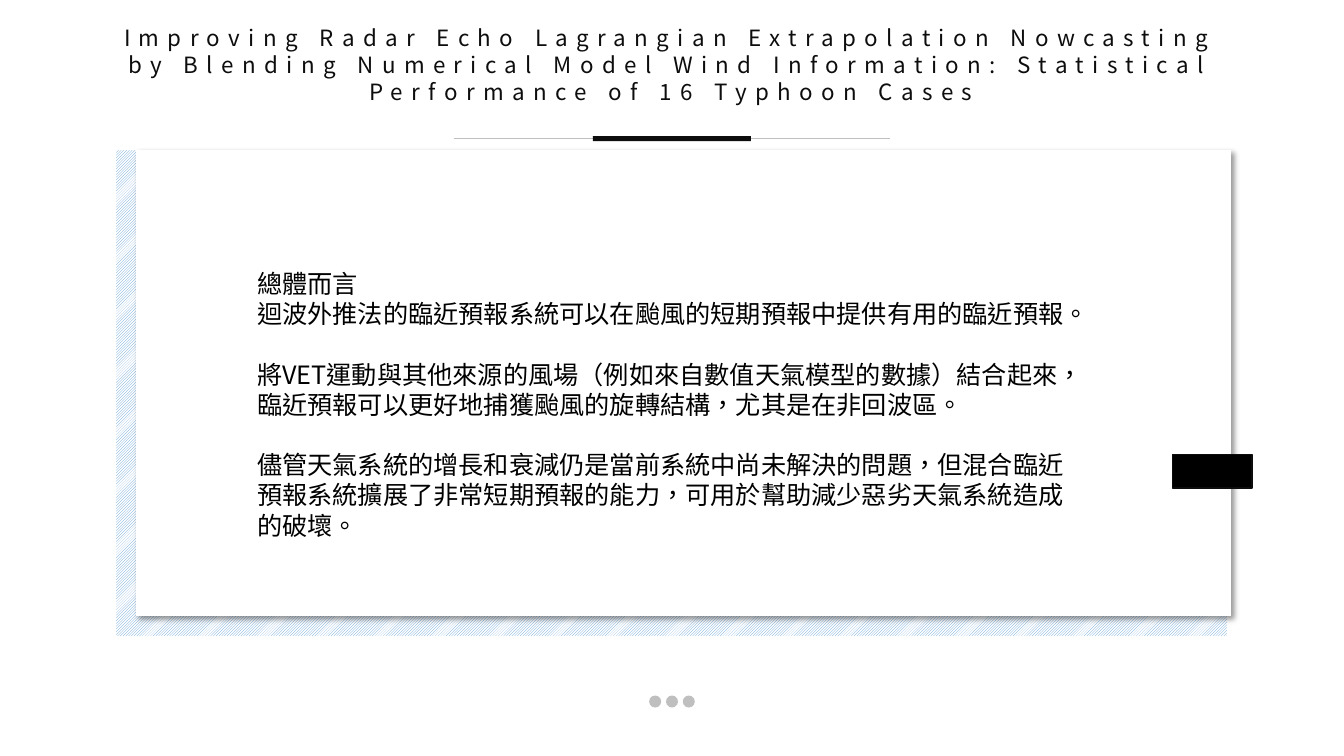
from lxml import etree
from pptx import Presentation
from pptx.dml.color import RGBColor
from pptx.enum.dml import MSO_PATTERN
from pptx.enum.shapes import MSO_CONNECTOR, MSO_SHAPE
from pptx.enum.text import MSO_ANCHOR, MSO_AUTO_SIZE, PP_ALIGN
from pptx.oxml.ns import qn
from pptx.util import Pt

RECTANGLE, OVAL = MSO_SHAPE.RECTANGLE, MSO_SHAPE.OVAL
STRAIGHT = MSO_CONNECTOR.STRAIGHT
HATCH = MSO_PATTERN.LIGHT_UPWARD_DIAGONAL
LEFT, CENTER = PP_ALIGN.LEFT, PP_ALIGN.CENTER
TOP, NO_FIT = MSO_ANCHOR.TOP, MSO_AUTO_SIZE.NONE

INK, GREY, WHITE, BLACK, BLUE = "0D0D0D", "BFBFBF", "FFFFFF", "000000", "5B9BD5"

TITLE = ("Improving Radar Echo Lagrangian Extrapolation Nowcasting by Blending "
         "Numerical Model Wind Information: Statistical Performance of 16 Typhoon Cases")
CONCLUSIONS = [
    ("總體而言", 0),
    ("迴波外推法的臨近預報系統可以在颱風的短期預報中提供有用的臨近預報。", 0),
    ("將VET運動與其他來源的風場（例如來自數值天氣模型的數據）結合起來，"
     "臨近預報可以更好地捕獲颱風的旋轉結構，尤其是在非回波區。", 21.6),
    ("儘管天氣系統的增長和衰減仍是當前系統中尚未解決的問題，"
     "但混合臨近預報系統擴展了非常短期預報的能力，可用於幫助減少惡劣天氣系統造成的破壞。", 21.6),
]


def colour(code):
    """Turn a hex string into a colour."""
    return RGBColor.from_string(code)


class SlideBuilder:
    """Hold the style and the current slide, and draw each kind of element."""

    font = "Noto Sans CJK SC"

    def __init__(self, slide):
        """Start drawing on a slide."""
        self.slide = slide

    def group(self):
        """Add an empty group and return its shapes."""
        return self.slide.shapes.add_group_shape().shapes

    def shape(self, parent, kind, left, top, width, height, fill, line=None):
        """Add a flat filled shape."""
        shape = parent.add_shape(kind, Pt(left), Pt(top), Pt(width), Pt(height))
        shape.shadow.inherit = False
        shape.fill.solid()
        shape.fill.fore_color.rgb = colour(fill)
        if line:
            shape.line.color.rgb = colour(line)
            shape.line.width = Pt(1)
        else:
            shape.line.fill.background()
        return shape

    def hatch(self, shape, front, back):
        """Fill a shape with diagonal stripes."""
        shape.fill.patterned()
        shape.fill.pattern = HATCH
        shape.fill.fore_color.rgb = colour(front)
        shape.fill.back_color.rgb = colour(back)

    def cast_shadow(self, shape, blur, distance, angle, opacity):
        """Give a shape a soft black outer shadow."""
        effects = shape.element.spPr.find(qn("a:effectLst"))
        shadow = etree.SubElement(effects, qn("a:outerShdw"), blurRad=str(Pt(blur)),
                                  dist=str(Pt(distance)), dir=str(angle * 60000),
                                  algn="tl", rotWithShape="0")
        tint = etree.SubElement(shadow, qn("a:srgbClr"), val=BLACK)
        etree.SubElement(tint, qn("a:alpha"), val=str(opacity * 1000))

    def line(self, parent, start, end, y, code, width):
        """Add a horizontal line."""
        line = parent.add_connector(STRAIGHT, Pt(start), Pt(y), Pt(end), Pt(y))
        line.line.color.rgb = colour(code)
        line.line.width = Pt(width)
        etree.SubElement(line.element.spPr, qn("a:effectLst"))

    def place(self, box, left, top, width, height):
        """Move a placeholder to the front and set its frame."""
        box.left, box.top, box.width, box.height = Pt(left), Pt(top), Pt(width), Pt(height)
        box.element.getparent().append(box.element)
        frame = box.text_frame
        frame.word_wrap = True
        frame.auto_size = NO_FIT
        frame.vertical_anchor = TOP
        return frame

    def text(self, para, words, size, code, align, language, before=0, tracking=0):
        """Fill one unbulleted paragraph with a single run."""
        settings = para._p.get_or_add_pPr()
        settings.set("marL", "0")
        settings.set("indent", "0")
        etree.SubElement(settings, qn("a:buNone"))
        para.alignment = align
        para.space_before = Pt(before)
        para.space_after = Pt(0)
        para.line_spacing = 1.0
        span = para.add_run()
        span.text = words
        span.font.size = Pt(size)
        span.font.name = self.font
        span.font.color.rgb = colour(code)
        style = span.font._element
        style.set("lang", language)
        style.set("spc", str(tracking * 100))
        etree.SubElement(style, qn("a:ea"), typeface=self.font)


def main():
    """Build the slide and save the deck."""
    deck = Presentation()
    deck.slide_width, deck.slide_height = Pt(960), Pt(540)
    slide = deck.slides.add_slide(deck.slide_layouts[1])
    builder = SlideBuilder(slide)

    panel = builder.group()
    backing = builder.shape(panel, RECTANGLE, 83, 107.3, 793.4, 347, WHITE)
    builder.hatch(backing, BLUE, WHITE)
    card = builder.shape(panel, RECTANGLE, 97.2, 107.3, 782, 332.7, WHITE)
    builder.cast_shadow(card, blur=4, distance=3, angle=45, opacity=40)

    title = builder.place(slide.shapes.title, 72, 13.7, 815, 65.5)
    builder.text(title.paragraphs[0], TITLE, 16, INK, CENTER, "en-US", tracking=6)

    divider = builder.group()
    builder.line(divider, 324, 636, 99, GREY, 0.5)
    builder.shape(divider, RECTANGLE, 423.5, 97.2, 113, 3.6, INK)

    dots = builder.group()
    for index in range(3):
        builder.shape(dots, OVAL, 463.7 + 12 * index, 496.8, 8.6, 8.6, GREY)

    builder.shape(slide.shapes, RECTANGLE, 837.4, 324.7, 57, 23.8, BLACK, line=INK)

    body = builder.place(slide.placeholders[1], 176.4, 187.9, 591.8, 203.8)
    for index, (words, before) in enumerate(CONCLUSIONS):
        para = body.add_paragraph() if index else body.paragraphs[0]
        builder.text(para, words, 18, BLACK, LEFT, "zh-TW", before=before)

    deck.save("out.pptx")


if __name__ == "__main__":
    main()
